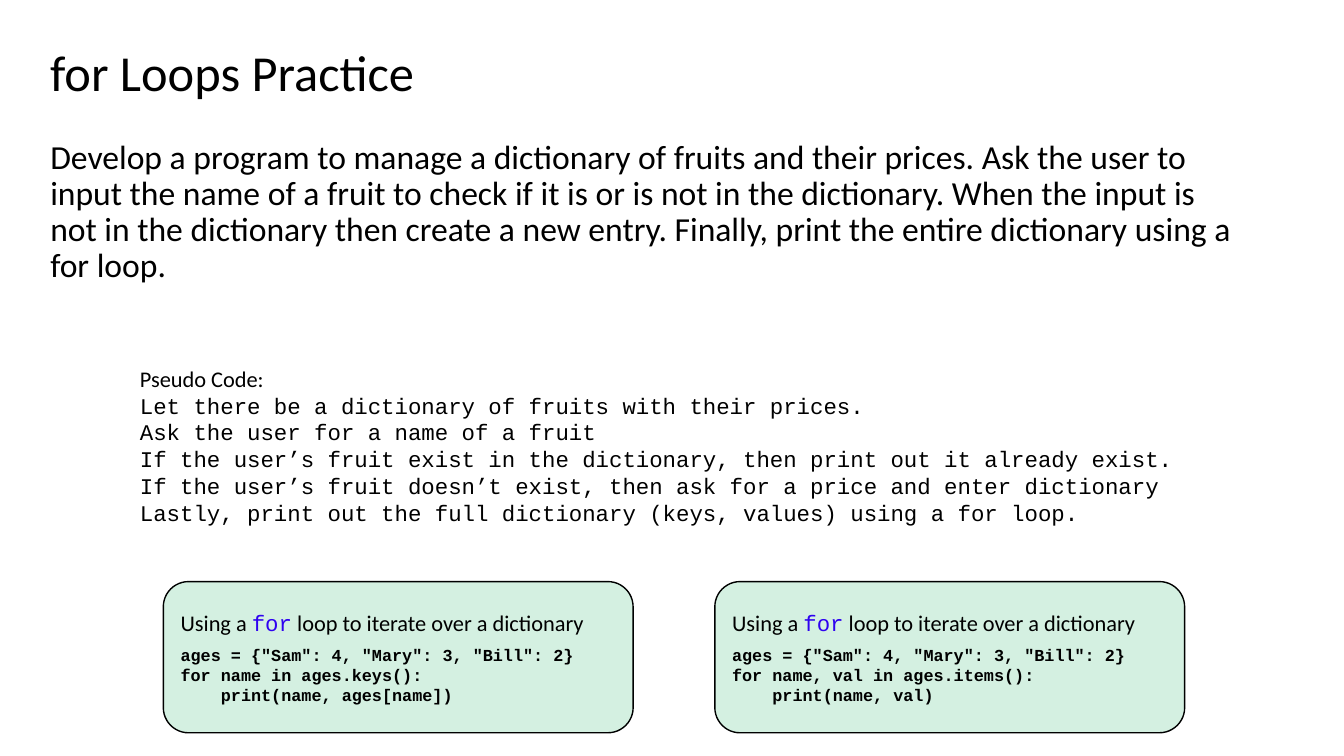
from pptx import Presentation
from pptx.dml.color import RGBColor
from pptx.enum.shapes import MSO_SHAPE
from pptx.enum.text import MSO_ANCHOR, PP_ALIGN
from pptx.util import Emu, Pt

ROUNDED = MSO_SHAPE.ROUNDED_RECTANGLE
TOP, MIDDLE = MSO_ANCHOR.TOP, MSO_ANCHOR.MIDDLE
LEFT = PP_ALIGN.LEFT
EMU_PER_PX = 9144
SANS, MONO = "Calibri", "Courier New"
BLACK, KEYWORD, MINT = "000000", "2F02F0", "D4F0E1"


def px(length):
    """Turn px into EMU."""
    return Emu(length * EMU_PER_PX)


def color(value):
    """Turn a hex string into a colour."""
    return RGBColor.from_string(value)


class SlideBuilder:
    """Holds the text style and the current slide."""

    style = {"name": SANS, "size": Pt(16), "bold": False, "color": BLACK}

    def __init__(self, presentation):
        """Add a blank slide."""
        self.slide = presentation.slides.add_slide(presentation.slide_layouts[6])

    def fill_text(self, shape, paragraphs, anchor):
        """Fill a shape with (runs, paragraph format) pairs."""
        frame = shape.text_frame
        frame.word_wrap = True
        frame.vertical_anchor = anchor
        for index, (runs, layout) in enumerate(paragraphs):
            paragraph = frame.paragraphs[0] if index == 0 else frame.add_paragraph()
            for name, value in {"alignment": LEFT, **layout}.items():
                setattr(paragraph, name, value)
            for text, changes in runs:
                run = paragraph.add_run()
                run.text = text
                values = {**self.style, **changes}
                run.font.color.rgb = color(values.pop("color"))
                for name, value in values.items():
                    setattr(run.font, name, value)

    def text(self, box, paragraphs, anchor=TOP):
        """Add a text box."""
        shape = self.slide.shapes.add_textbox(*map(px, box))
        self.fill_text(shape, paragraphs, anchor)

    def card(self, box, paragraphs):
        """Add a rounded card with a thin outline."""
        shape = self.slide.shapes.add_shape(ROUNDED, *map(px, box))
        shape.shadow.inherit = False
        shape.fill.solid()
        shape.fill.fore_color.rgb = color(MINT)
        shape.line.color.rgb = color(BLACK)
        shape.line.width = Pt(1)
        self.fill_text(shape, paragraphs, MIDDLE)


def main():
    """Build the practice slide."""
    presentation = Presentation()
    presentation.slide_width, presentation.slide_height = px(1333), px(750)
    builder = SlideBuilder(presentation)

    tight = {"line_spacing": 0.9}
    task = (
        "Develop a program to manage a dictionary of fruits and their prices. "
        "Ask the user to input the name of a fruit to check if it is or is not in the "
        "dictionary. When the input is not in the dictionary then create a new entry. "
        "Finally, print the entire dictionary using a for loop."
    )
    builder.text((40, 24, 1150, 102),
                 [([("for Loops Practice", {"size": Pt(36)})], tight)], MIDDLE)
    builder.text((40, 134, 1201, 545), [([(task, {"size": Pt(24)})], tight)])

    steps = [
        "Let there be a dictionary of fruits with their prices.",
        "Ask the user for a name of a fruit",
        "If the user’s fruit exist in the dictionary, then print out it already exist.",
        "If the user’s fruit doesn’t exist, then ask for a price and enter dictionary",
        "Lastly, print out the full dictionary (keys, values) using a for loop.",
    ]
    pseudo_code = [([("Pseudo Code:", {})], {})]
    pseudo_code += [([(step, {"name": MONO})], {}) for step in steps]
    builder.text((129, 357, 1076, 172), pseudo_code)

    heading = [("Using a ", {}), ("for", {"name": MONO, "color": KEYWORD}),
               (" loop to iterate over a dictionary", {})]
    code_style = {"name": MONO, "size": Pt(12), "bold": True}
    ages = 'ages = {"Sam": 4, "Mary": 3, "Bill": 2}'
    examples = [
        (ages, "for name in ages.keys():", "    print(name, ages[name])"),
        (ages, "for name, val in ages.items():", "    print(name, val)"),
    ]
    for column, lines in enumerate(examples):
        code = [([(line, code_style)], {}) for line in lines]
        builder.card((162 + column * 547, 577, 466, 150),
                     [(heading, {"space_after": Pt(6)})] + code)

    presentation.save("out.pptx")


if __name__ == "__main__":
    main()
